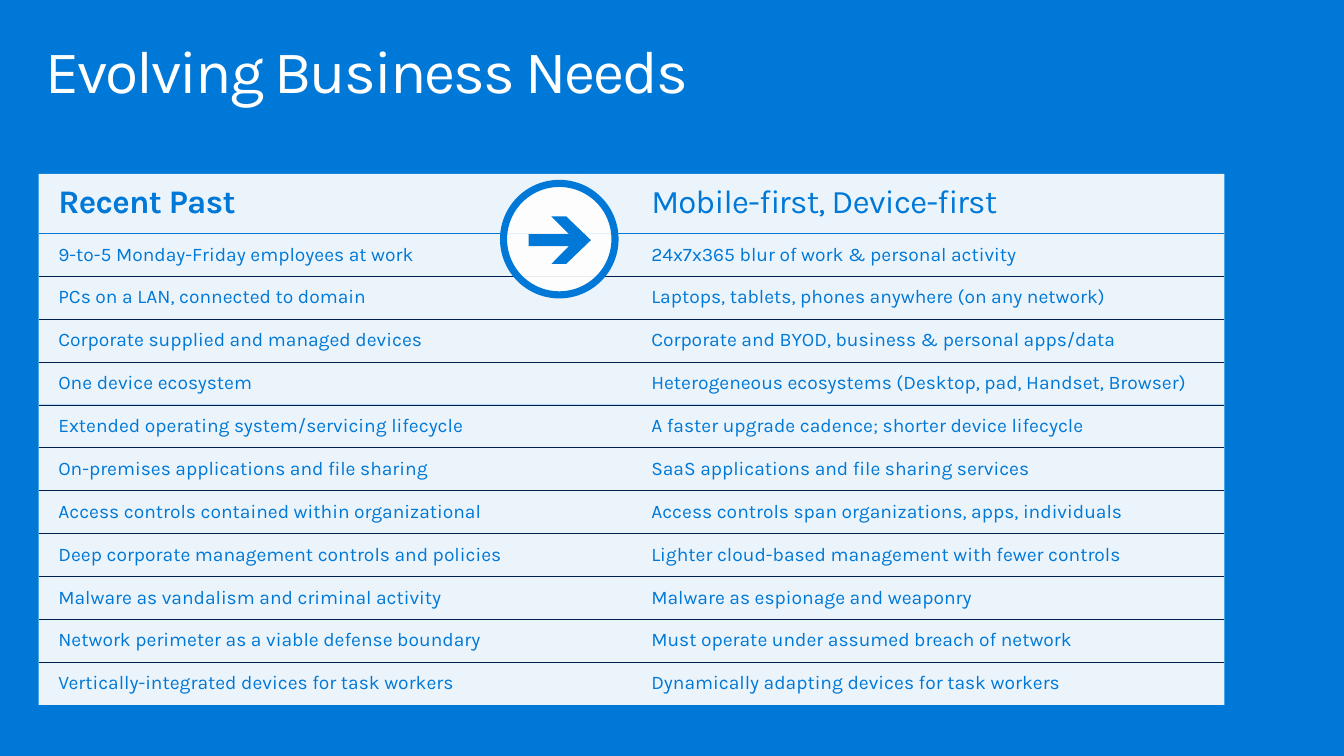
from lxml import etree
from pptx import Presentation
from pptx.dml.color import RGBColor
from pptx.enum.shapes import MSO_SHAPE
from pptx.enum.text import MSO_ANCHOR
from pptx.oxml.ns import qn
from pptx.util import Pt

OVAL, DONUT = MSO_SHAPE.OVAL, MSO_SHAPE.DONUT
TOP, MIDDLE = MSO_ANCHOR.TOP, MSO_ANCHOR.MIDDLE
PX = 9144  # 100 px to the inch
FONT = "Karla"
BLUE, NAVY, WHITE = "0078D7", "002050", "FFFFFF"

PAST = [
    "Recent Past",
    "9-to-5 Monday-Friday employees at work",
    "PCs on a LAN, connected to domain",
    "Corporate supplied and managed devices",
    "One device ecosystem",
    "Extended operating system/servicing lifecycle",
    "On-premises applications and file sharing",
    "Access controls contained within organizational",
    "Deep corporate management controls and policies",
    "Malware as vandalism and criminal activity",
    "Network perimeter as a viable defense boundary",
    "Vertically-integrated devices for task workers",
]
MOBILE = [
    "Mobile-first, Device-first",
    "24x7x365 blur of work & personal activity",
    "Laptops, tablets, phones anywhere (on any network)",
    "Corporate and BYOD, business & personal apps/data",
    "Heterogeneous ecosystems (Desktop, pad, Handset, Browser)",
    "A faster upgrade cadence; shorter device lifecycle",
    "SaaS applications and file sharing services",
    "Access controls span organizations, apps, individuals",
    "Lighter cloud-based management with fewer controls",
    "Malware as espionage and weaponry",
    "Must operate under assumed breach of network",
    "Dynamically adapting devices for task workers",
]


def px(*vals):
    return [v * PX for v in vals]


def color(code):
    return RGBColor.from_string(code)


def paint(fill, code, node=None, alpha=100):
    """Solid fill; node is the XML parent of the fill when it is see-through."""
    fill.solid()
    fill.fore_color.rgb = color(code)
    if alpha < 100:
        tint = node.find(qn("a:solidFill")).find(qn("a:srgbClr"))
        etree.SubElement(tint, qn("a:alpha"), val=str(alpha * 1000))


def write(frame, text, size=14, code=BLUE, bold=False, gap=0, lead=None):
    para = frame.paragraphs[0]
    para.line_spacing = lead
    run = para.add_run()
    run.text = text
    font = run.font
    font.name, font.size, font.bold = FONT, Pt(size), bold
    font.color.rgb = color(code)
    run._r.get_or_add_rPr().set("spc", str(int(gap * 100)))


def title(slide, text):
    box = slide.shapes.add_textbox(*px(30, 32, 1300, 100))
    frame = box.text_frame
    frame.word_wrap = True
    frame.margin_left, frame.margin_right = px(16, 16)
    frame.margin_top, frame.margin_bottom = px(10, 10)
    write(frame, text, size=44, code=WHITE, gap=-1.5, lead=0.9)


def edge(props, spot, tag, rule):
    """Cell border; rule is (colour, points), or None for no line."""
    line = etree.Element(qn(f"a:{tag}"))
    if rule:
        code, width = rule
        line.set("w", str(Pt(width)))
        fill = etree.SubElement(line, qn("a:solidFill"))
        etree.SubElement(fill, qn("a:srgbClr"), val=code)
    else:
        etree.SubElement(line, qn("a:noFill"))
    props.insert(spot, line)


def table(slide, left, width, pad, step, texts, bold):
    count = len(texts)
    grid = slide.shapes.add_table(
        count, 1, *px(left, 176, width, 53 + step * (count - 1))).table
    grid.first_row = grid.horz_banding = False
    # Rule below each row but the last
    rules = [None, (BLUE, 1)] + [(NAVY, 0.25)] * (count - 2) + [None]
    for i, text in enumerate(texts):
        head = i == 0
        grid.rows[i].height = (53 if head else step) * PX
        cell = grid.cell(i, 0)
        cell.margin_left, cell.margin_right = px(pad, 20)
        cell.margin_top, cell.margin_bottom = px(10, 10)
        cell.vertical_anchor = TOP if head else MIDDLE
        if head:
            write(cell.text_frame, text, size=24, bold=bold, gap=-0.5)
        else:
            write(cell.text_frame, text)
        props = cell._tc.get_or_add_tcPr()
        paint(cell.fill, WHITE, props, alpha=92)
        sides = {"lnL": None, "lnR": None, "lnT": rules[i], "lnB": rules[i + 1]}
        for spot, (tag, rule) in enumerate(sides.items()):
            edge(props, spot, tag, rule)


def finish(shape, code, alpha=100):
    shape.shadow.inherit = False
    shape.line.fill.background()
    paint(shape.fill, code, shape._element.spPr, alpha)


def badge(slide):
    shapes = slide.shapes
    finish(shapes.add_shape(OVAL, *px(510, 187, 110, 110)), WHITE, alpha=90)
    ring = shapes.add_shape(DONUT, *px(506, 182, 120, 120))
    ring.adjustments[0] = 0.06
    finish(ring, BLUE)
    # Arrow: upper half, tip, then the lower half mirrored
    mid = 243
    half = [(535, 6), (576, 6), (558, 24), (573, 24)]
    points = [(x, mid - y) for x, y in half] + [(598, mid)]
    points += [(x, mid + y) for x, y in reversed(half)]
    path = shapes.build_freeform(*points[0], scale=PX)
    path.add_line_segments(points[1:], close=True)
    finish(path.convert_to_shape(), BLUE)


def main():
    deck = Presentation()
    deck.slide_width, deck.slide_height = px(1360, 765)
    slide = deck.slides.add_slide(deck.slide_layouts[6])
    paint(slide.background.fill, BLUE)
    title(slide, "Evolving Business Needs")
    # Two tables side by side, with the arrow badge over the seam
    table(slide, 39, 550, 20, 42, PAST, bold=True)
    table(slide, 589, 650, 70, 43, MOBILE, bold=False)
    badge(slide)
    deck.save("out.pptx")


if __name__ == "__main__":
    main()
